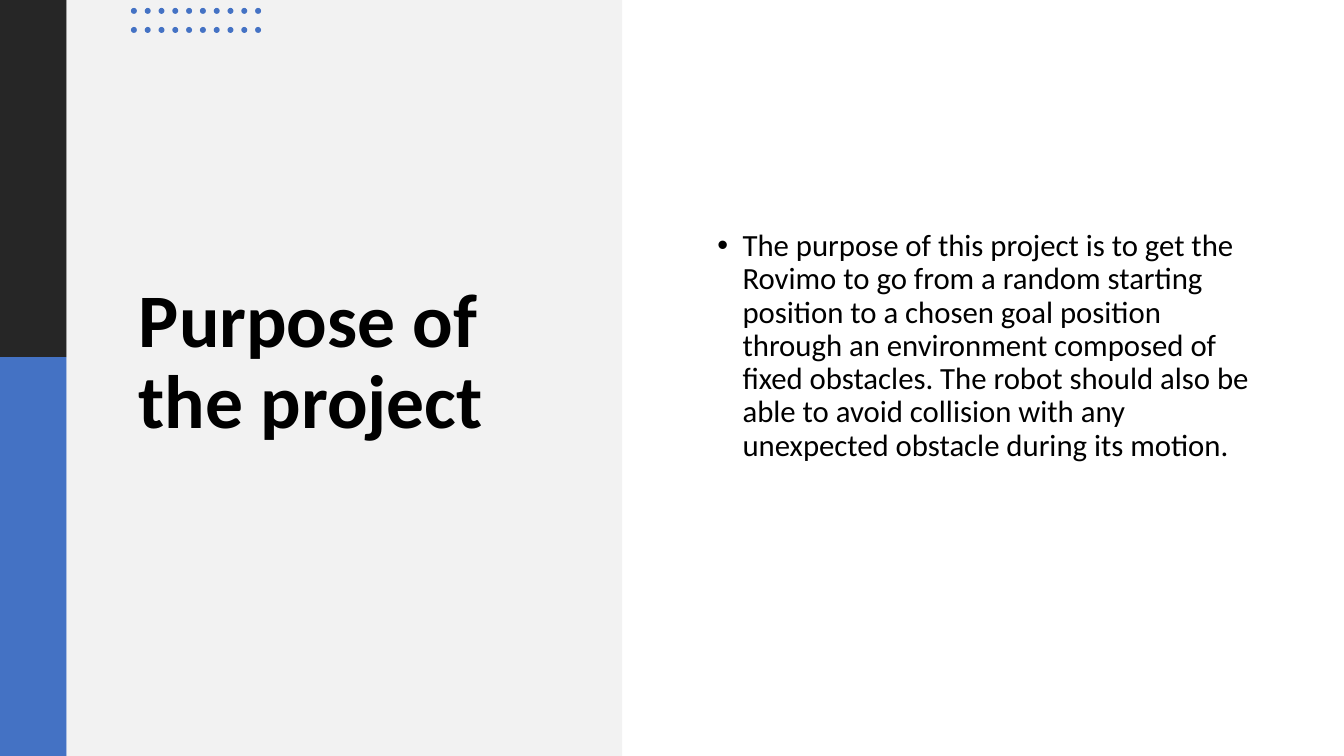
from pptx import Presentation, util as u
from pptx.dml.color import RGBColor
from pptx.enum import shapes, text
from pptx.oxml.ns import qn
from lxml import etree

HEADING = "Purpose of the project"
PURPOSE = (
    "The purpose of this project is to get the Rovimo to go from a random "
    "starting position to a chosen goal position through an environment "
    "composed of fixed obstacles. The robot should also be able to avoid "
    "collision with any unexpected obstacle during its motion."
)
COLOURS = {"dark": "262626", "blue": "4472C4", "panel": "F2F2F2", "text": "000000"}

# Lengths in centimetres
SLIDE_WIDTH, SLIDE_HEIGHT = 33.87, 19.05
STRIP_WIDTH, STRIP_SPLIT, PANEL_WIDTH = 1.68, 9, 14
HEADING_BOX = (3.25, 3.71, 10.9, 10.9)
PURPOSE_BOX = (17.83, 1.4, 14.17, 14.66)
BULLET_INDENT = 0.635
DOTS = {"left": 3.3, "top": 0.2, "size": 0.15, "columns": 10, "rows": 2,
        "width": 3.13, "row_step": 0.48}

HEADING_FONT = {"name": "Calibri", "size": u.Pt(54), "bold": True}
PURPOSE_FONT = {"name": "Calibri", "size": u.Pt(22), "bold": False}


def add_filled(slide, kind, box, colour):
    shape = slide.shapes.add_shape(kind, *map(u.Cm, box))
    shape.shadow.inherit = False
    shape.fill.solid()
    shape.fill.fore_color.rgb = RGBColor.from_string(COLOURS[colour])
    shape.line.fill.background()


def add_bullet(paragraph):
    properties = paragraph._p.get_or_add_pPr()
    properties.set("marL", str(u.Cm(BULLET_INDENT)))
    properties.set("indent", str(-u.Cm(BULLET_INDENT)))
    etree.SubElement(properties, qn("a:buFont")).set("typeface", "Arial")
    etree.SubElement(properties, qn("a:buChar")).set("char", "•")


def add_text(slide, wording, box, font_values, bulleted=False):
    frame = slide.shapes.add_textbox(*map(u.Cm, box)).text_frame
    frame.word_wrap = True
    frame.vertical_anchor = text.MSO_ANCHOR.MIDDLE
    paragraph = frame.paragraphs[0]
    if bulleted:
        add_bullet(paragraph)
    paragraph.line_spacing = 0.9
    run = paragraph.add_run()
    run.text = wording
    for attribute, value in font_values.items():
        setattr(run.font, attribute, value)
    run.font.color.rgb = RGBColor.from_string(COLOURS["text"])


def add_dots(slide):
    column_step = DOTS["width"] / (DOTS["columns"] - 1)
    for column in range(DOTS["columns"]):
        for row in range(DOTS["rows"]):
            box = (DOTS["left"] + column * column_step,
                   DOTS["top"] + row * DOTS["row_step"],
                   DOTS["size"], DOTS["size"])
            add_filled(slide, shapes.MSO_SHAPE.OVAL, box, "blue")


def main():
    deck = Presentation()
    deck.slide_width, deck.slide_height = u.Cm(SLIDE_WIDTH), u.Cm(SLIDE_HEIGHT)
    slide = deck.slides.add_slide(deck.slide_layouts[6])

    bands = [
        ((0, 0, STRIP_WIDTH, STRIP_SPLIT), "dark"),
        ((0, STRIP_SPLIT, STRIP_WIDTH, SLIDE_HEIGHT - STRIP_SPLIT), "blue"),
        ((STRIP_WIDTH, 0, PANEL_WIDTH, SLIDE_HEIGHT), "panel"),
    ]
    for box, colour in bands:
        add_filled(slide, shapes.MSO_SHAPE.RECTANGLE, box, colour)

    add_text(slide, HEADING, HEADING_BOX, HEADING_FONT)
    add_dots(slide)
    add_text(slide, PURPOSE, PURPOSE_BOX, PURPOSE_FONT, bulleted=True)
    deck.save("out.pptx")


if __name__ == "__main__":
    main()
